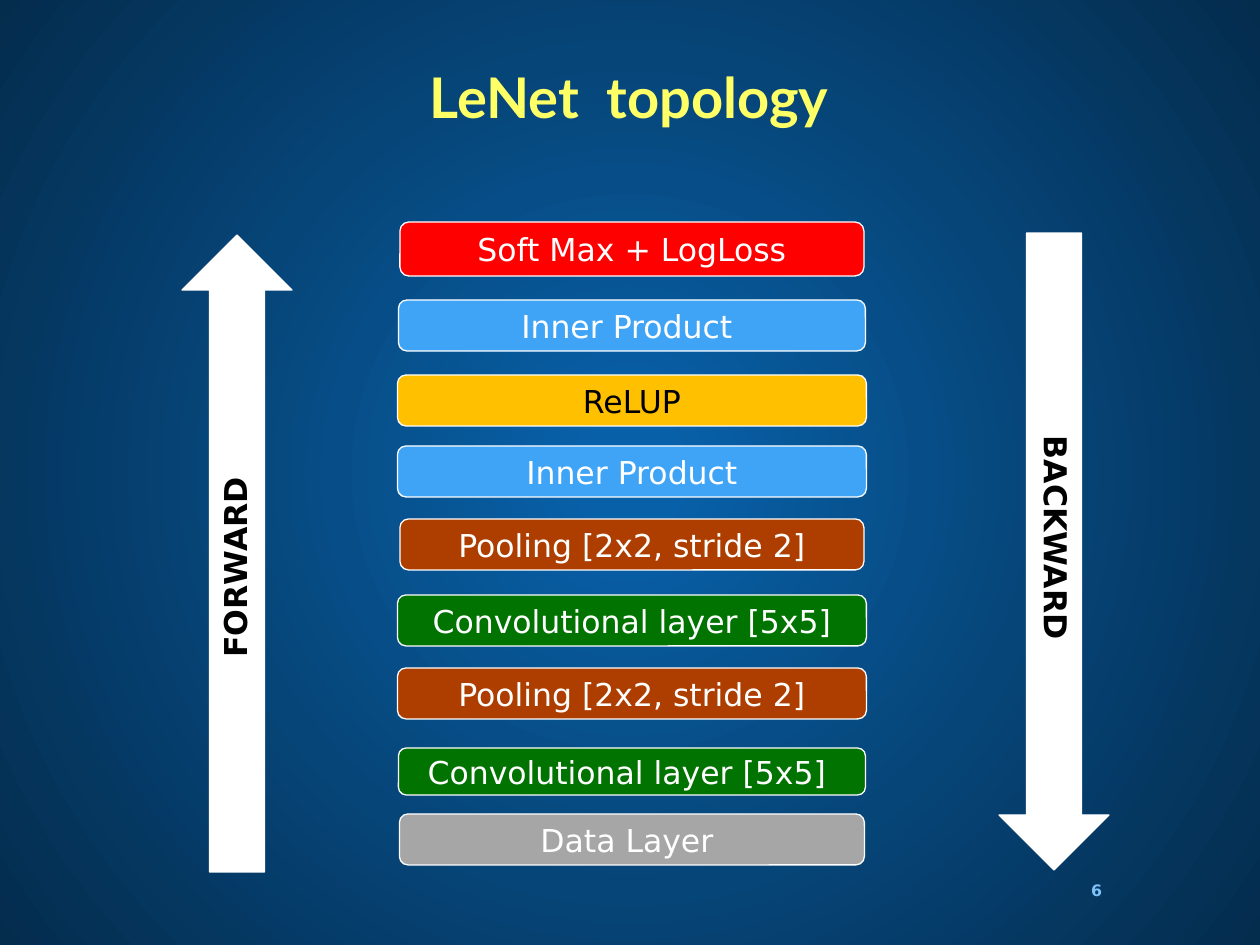
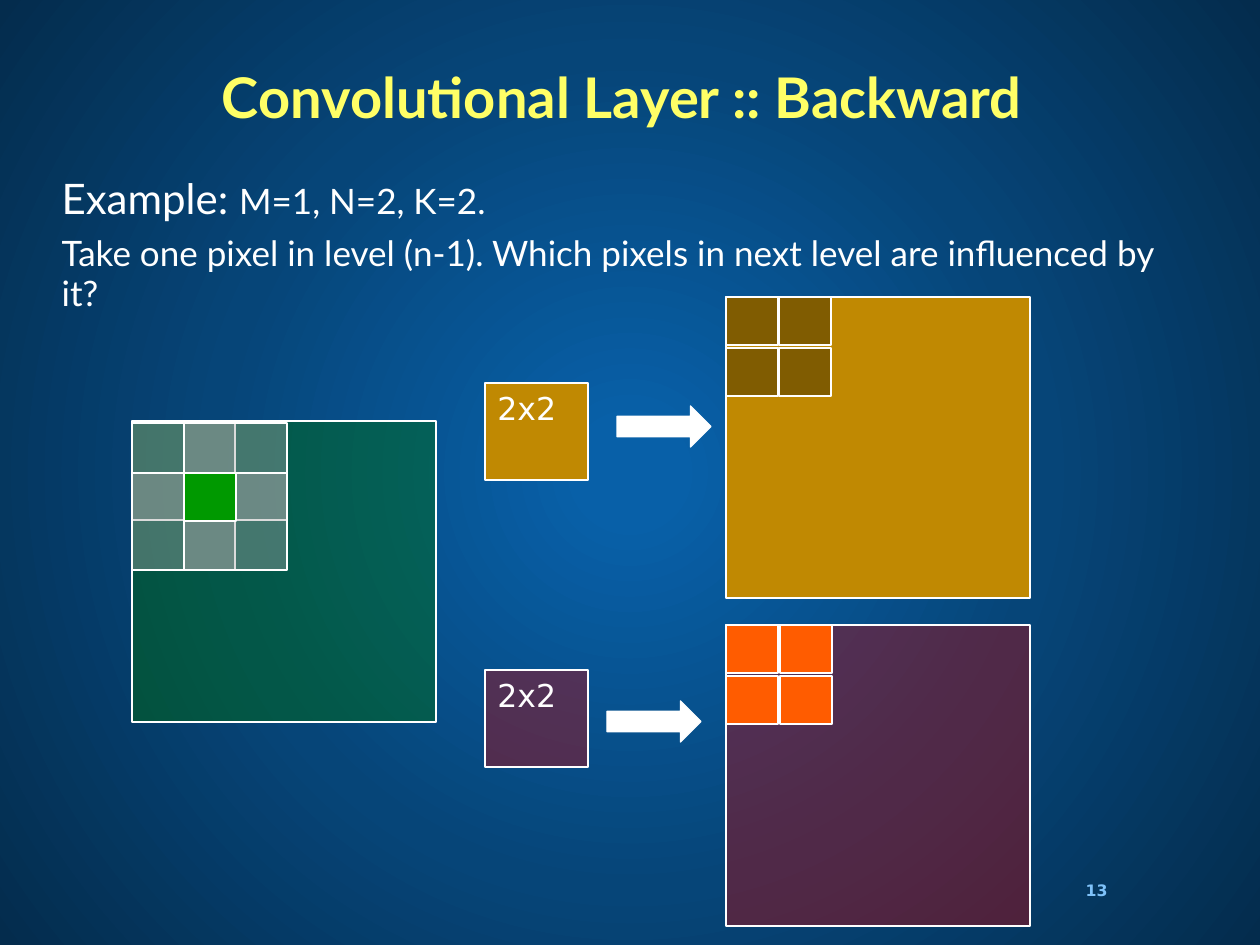
from lxml import etree
from pptx import Presentation
from pptx.dml.color import RGBColor
from pptx.enum.shapes import MSO_SHAPE
from pptx.enum.text import MSO_ANCHOR, MSO_AUTO_SIZE, PP_ALIGN
from pptx.oxml import parse_xml
from pptx.oxml.ns import qn
from pptx.util import Pt

RECTANGLE, ROUNDED = MSO_SHAPE.RECTANGLE, MSO_SHAPE.ROUNDED_RECTANGLE
DOWN_ARROW, RIGHT_ARROW = MSO_SHAPE.DOWN_ARROW, MSO_SHAPE.RIGHT_ARROW
TOP, MIDDLE = MSO_ANCHOR.TOP, MSO_ANCHOR.MIDDLE
LEFT, CENTER = PP_ALIGN.LEFT, PP_ALIGN.CENTER
NO_AUTOFIT = MSO_AUTO_SIZE.NONE

WHITE = RGBColor(0xFF, 0xFF, 0xFF)
BLACK = RGBColor(0x00, 0x00, 0x00)
YELLOW = RGBColor(0xFF, 0xFF, 0x66)
PALE_BLUE = RGBColor(0x7F, 0xC2, 0xF9)
SKY = RGBColor(0x40, 0xA4, 0xF6)
RED = RGBColor(0xFF, 0x00, 0x00)
AMBER = RGBColor(0xFF, 0xC0, 0x00)
RUST = RGBColor(0xAD, 0x3E, 0x00)
GREEN = RGBColor(0x00, 0x73, 0x00)
BRIGHT_GREEN = RGBColor(0x00, 0x99, 0x00)
GREY = RGBColor(0xA6, 0xA6, 0xA6)
CRIMSON = RGBColor(0xC0, 0x00, 0x00)
ORANGE = RGBColor(0xFF, 0x5C, 0x00)
GOLD = RGBColor(0xC0, 0x89, 0x02)
DARK_GOLD = RGBColor(0x80, 0x5C, 0x01)
BACKGROUND_STOPS = [(6, RGBColor(0x08, 0x60, 0xA8)), (53, RGBColor(0x06, 0x45, 0x78)),
                    (100, RGBColor(0x04, 0x2C, 0x4D))]

EMU_PER_PX = 914400 / 126
SLIDE_SIZE = (1260, 945)
TITLE_BOX = (49, 21, 1160, 158)
BODY_BOX = (49, 170, 1158, 112)
NUMBER_BOX = (1068, 869, 57, 42)
STACK_CENTER = 632

TITLE_FONT = {"name": "Lato", "size": Pt(32), "bold": True}
EXAMPLE_FONT = {"name": "Lato", "size": Pt(24)}
BODY_FONT = {"name": "Lato", "size": Pt(20)}
LABEL_FONT = {"name": "DejaVu Sans", "size": Pt(18)}
ARROW_FONT = {**LABEL_FONT, "bold": True}
NUMBER_FONT = {"name": "DejaVu Sans", "size": Pt(9), "bold": True}

LAYERS = [
    ("Soft Max + LogLoss", RED, WHITE, 222, 464, 54),
    ("Inner Product ", SKY, WHITE, 300, 467, 51),
    ("ReLUP", AMBER, BLACK, 375, 469, 51),
    ("Inner Product", SKY, WHITE, 446, 469, 51),
    ("Pooling [2x2, stride 2]", RUST, WHITE, 519, 464, 51),
    ("Convolutional layer [5x5]", GREEN, WHITE, 595, 469, 51),
    ("Pooling [2x2, stride 2]", RUST, WHITE, 668, 469, 51),
    ("Convolutional layer [5x5] ", GREEN, WHITE, 748, 467, 47),
    ("Data Layer ", GREY, WHITE, 814, 465, 51),
]
PASSES = [("FORWARD", (182, 235, 110, 637), 180), ("BACKWARD", (999, 233, 110, 637), 0)]

QUESTION = [
    [("Example: ", EXAMPLE_FONT), ("M=1, N=2, K=2.", BODY_FONT)],
    [("Take one pixel in level (n-1). Which pixels in next level are influenced by it?", BODY_FONT)],
]
MAP_SIZE = (304, 301)
KERNEL_SIZE = (103, 97)
PIXEL_SIZE = (52, 48)
ARROW_SIZE = (94, 41)
INPUT_MAP = (132, 421)
WINDOWS = (132, 423)
WINDOW_PITCH = (52, 50)
OUTPUTS = [
    {"map": (726, 625), "kernel": (485, 670), "arrow": (607, 701), "pitch": (54, 51),
     "color": CRIMSON, "opacity": 40, "pixel_color": ORANGE},
    {"map": (726, 297), "kernel": (485, 383), "arrow": (617, 406), "pitch": (53, 51),
     "color": GOLD, "opacity": 100, "pixel_color": DARK_GOLD},
]


def px(*lengths):
    return [round(length * EMU_PER_PX) for length in lengths]


def set_format(target, values):
    for name, value in values.items():
        setattr(target, name, value)


def add_run(paragraph, text, font, color):
    run = paragraph.add_run()
    run.text = text
    set_format(run.font, font)
    run.font.color.rgb = color


def place(shape, box):
    set_format(shape, dict(zip(("left", "top", "width", "height"), px(*box))))


def add_block(slide, kind, box, color, opacity=100, text="", font=LABEL_FONT,
              text_color=WHITE, align=LEFT, anchor=TOP):
    shape = slide.shapes.add_shape(kind, *px(*box))
    shape.shadow.inherit = False
    shape.fill.solid()
    shape.fill.fore_color.rgb = color
    if opacity < 100:
        color_element = shape.element.spPr.find(".//" + qn("a:srgbClr"))
        etree.SubElement(color_element, qn("a:alpha")).set("val", str(opacity * 1000))
    shape.line.color.rgb = WHITE
    shape.line.width = Pt(0.75)
    if text:
        shape.text_frame.vertical_anchor = anchor
        paragraph = shape.text_frame.paragraphs[0]
        paragraph.alignment = align
        add_run(paragraph, text, font, text_color)
    return shape


def add_grid(slide, origin, pitch, size, color, opacity=100):
    for row in range(2):
        for column in range(2):
            corner = (origin[0] + column * pitch[0], origin[1] + row * pitch[1])
            add_block(slide, RECTANGLE, corner + size, color, opacity)


def set_background(master):
    master.background.fill.solid()
    solid = master.element.xpath("./p:cSld/p:bg/p:bgPr/a:solidFill")[0]
    stops = "".join(f'<a:gs pos="{position * 1000}"><a:srgbClr val="{color}"/></a:gs>'
                    for position, color in BACKGROUND_STOPS)
    gradient = parse_xml(
        '<a:gradFill xmlns:a="http://schemas.openxmlformats.org/drawingml/2006/main" rotWithShape="1">'
        f'<a:gsLst>{stops}</a:gsLst><a:path path="circle">'
        '<a:fillToRect l="50000" t="50000" r="50000" b="50000"/></a:path></a:gradFill>')
    solid.getparent().replace(solid, gradient)


def add_slide(presentation, layout, title, number):
    slide = presentation.slides.add_slide(presentation.slide_layouts.get_by_name(layout))
    heading = slide.shapes.title
    place(heading, TITLE_BOX)
    set_format(heading.text_frame, {"vertical_anchor": MIDDLE, "auto_size": NO_AUTOFIT})
    paragraph = heading.text_frame.paragraphs[0]
    set_format(paragraph, {"alignment": CENTER, "line_spacing": 0.9})
    add_run(paragraph, title, TITLE_FONT, YELLOW)

    frame = slide.shapes.add_textbox(*px(*NUMBER_BOX)).text_frame
    set_format(frame, {"word_wrap": True, "vertical_anchor": MIDDLE, "margin_left": 0,
                       "margin_right": 0, "margin_top": 0, "margin_bottom": 0})
    frame.paragraphs[0].alignment = CENTER
    add_run(frame.paragraphs[0], number, NUMBER_FONT, PALE_BLUE)
    return slide


def build_topology(presentation):
    slide = add_slide(presentation, "Title Only", "LeNet  topology", "6")
    for label, box, rotation in PASSES:
        arrow = add_block(slide, DOWN_ARROW, box, WHITE, text=label, font=ARROW_FONT,
                          text_color=BLACK, align=CENTER)
        arrow.rotation = rotation
        arrow.text_frame._txBody.bodyPr.set("vert", "vert")
    for label, color, text_color, top, width, height in LAYERS:
        box = (STACK_CENTER - width / 2, top, width, height)
        add_block(slide, ROUNDED, box, color, text=label, text_color=text_color,
                  align=CENTER, anchor=MIDDLE)


def fill_question(body):
    place(body, BODY_BOX)
    frame = body.text_frame
    set_format(frame, {"vertical_anchor": TOP, "auto_size": NO_AUTOFIT})
    for index, runs in enumerate(QUESTION):
        paragraph = frame.add_paragraph() if index else frame.paragraphs[0]
        set_format(paragraph, {"line_spacing": 0.95, "space_before": Pt(6)})
        properties = paragraph._p.get_or_add_pPr()
        properties.set("marL", "0")
        properties.set("indent", "0")
        etree.SubElement(properties, qn("a:buNone"))
        for text, font in runs:
            add_run(paragraph, text, font, WHITE)


def build_backward(presentation):
    slide = add_slide(presentation, "Title and Content", "Convolutional Layer :: Backward ", "13")
    fill_question(slide.placeholders[1])
    add_block(slide, RECTANGLE, INPUT_MAP + MAP_SIZE, GREEN, 40)
    add_grid(slide, WINDOWS, WINDOW_PITCH, KERNEL_SIZE, GREY, 40)
    shared_pixel = tuple(start + step for start, step in zip(WINDOWS, WINDOW_PITCH))
    add_block(slide, RECTANGLE, shared_pixel + PIXEL_SIZE, BRIGHT_GREEN)
    for output in OUTPUTS:
        color, opacity = output["color"], output["opacity"]
        add_block(slide, RECTANGLE, output["kernel"] + KERNEL_SIZE, color, opacity, "2x2")
        add_block(slide, RIGHT_ARROW, output["arrow"] + ARROW_SIZE, WHITE)
        add_block(slide, RECTANGLE, output["map"] + MAP_SIZE, color, opacity)
        add_grid(slide, output["map"], output["pitch"], PIXEL_SIZE, output["pixel_color"])


def main():
    presentation = Presentation()
    presentation.slide_width, presentation.slide_height = px(*SLIDE_SIZE)
    set_background(presentation.slide_master)
    build_topology(presentation)
    build_backward(presentation)
    presentation.save("out.pptx")


if __name__ == "__main__":
    main()
